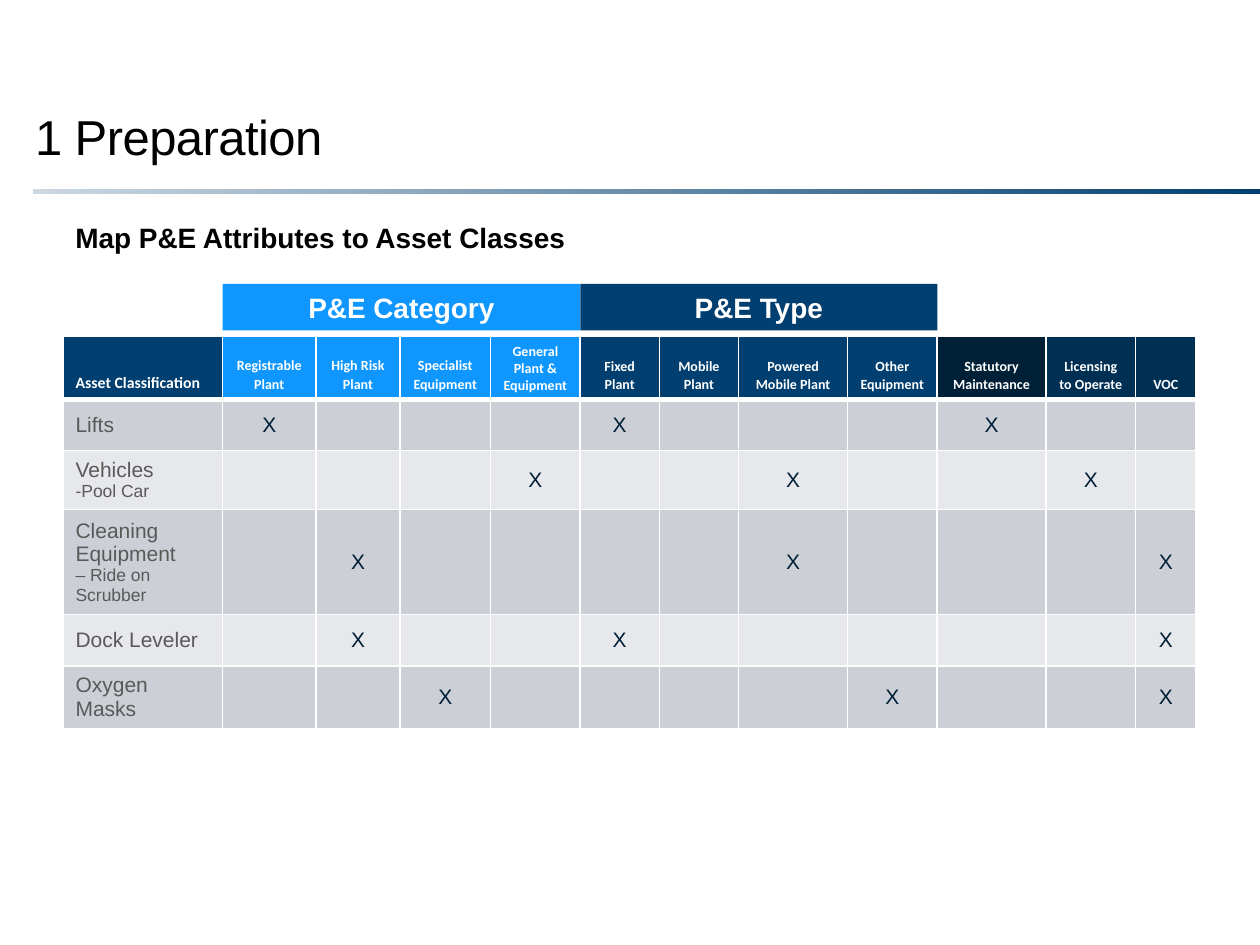
from lxml import etree
from pptx import Presentation
from pptx import util as u
from pptx.dml import color as dml
from pptx.enum import shapes, text
from pptx.oxml import ns

COLORS = {
    "navy": "003F70", "deep": "002F54", "ink": "002038", "sky": "1097FF",
    "band": "CCCFD5", "light": "E7E8EB", "grey": "595959",
    "white": "FFFFFF", "black": "000000",
}
LEFT, CENTER = text.PP_ALIGN.LEFT, text.PP_ALIGN.CENTER
TOP, MIDDLE, BOTTOM = (text.MSO_ANCHOR.TOP, text.MSO_ANCHOR.MIDDLE,
                       text.MSO_ANCHOR.BOTTOM)

COL_WIDTHS = [91.2, 53.4, 48, 51.8, 51.2, 45.2, 45.4, 62.2, 51.2, 62.3, 51.2, 34.6]
ROW_HEIGHT = 29.3
TABLE_LEFT, TABLE_TOP = 36, 192.2

HEADERS = [
    ("Asset Classification", "navy"), ("Registrable Plant", "sky"),
    ("High Risk Plant", "sky"), ("Specialist Equipment", "sky"),
    ("General Plant & Equipment", "sky"), ("Fixed Plant", "navy"),
    ("Mobile\nPlant", "navy"), ("Powered Mobile Plant", "navy"),
    ("Other Equipment", "navy"), ("Statutory Maintenance", "ink"),
    ("Licensing to Operate", "deep"), ("VOC", "deep"),
]
ASSETS = [
    ([[("Lifts", 12)]], (1, 5, 9)),
    ([[("Vehicles", 12)], [("-Pool Car", 10)]], (4, 7, 10)),
    ([[("Cleaning Equipment ", 12), ("– Ride on Scrubber", 10)]], (2, 7, 11)),
    ([[("Dock Leveler", 12)]], (2, 5, 11)),
    ([[("Oxygen Masks", 12)]], (3, 8, 11)),
]


def rgb(name):
    return dml.RGBColor.from_string(COLORS[name])


class Deck:
    def __init__(self, width, height, font="Arial"):
        self.prs = Presentation()
        self.prs.slide_width, self.prs.slide_height = u.Pt(width), u.Pt(height)
        self.font = font
        self.slide = None

    def add_slide(self):
        self.slide = self.prs.slides.add_slide(self.prs.slide_layouts[6])

    def put_text(self, tf, paras, color, align=LEFT, font=None, bold=False,
                 spacing=None, after=None, tracking=None):
        tf.word_wrap = True
        para_format = {"alignment": align, "line_spacing": spacing,
                       "space_after": after}
        for i, runs in enumerate(paras):
            p = tf.paragraphs[0] if i == 0 else tf.add_paragraph()
            for key, value in para_format.items():
                if value is not None:
                    setattr(p, key, value)
            for j, (words, size) in enumerate(runs):
                if j:
                    p.add_line_break()
                r = p.add_run()
                r.text = words
                run_format = {"name": font or self.font, "size": u.Pt(size),
                              "bold": bold}
                for key, value in run_format.items():
                    setattr(r.font, key, value)
                r.font.color.rgb = rgb(color)
                if tracking:
                    r.font._element.set("spc", str(int(tracking * 100)))

    def textbox(self, box, words, size, anchor=TOP, inset=None, **style):
        tf = self.slide.shapes.add_textbox(*map(u.Pt, box)).text_frame
        tf.vertical_anchor = anchor
        if inset is not None:
            for side in ("left", "top", "right", "bottom"):
                setattr(tf, f"margin_{side}", u.Pt(inset))
        self.put_text(tf, [[(words, size)]], "black", **style)

    def rect(self, box):
        sp = self.slide.shapes.add_shape(shapes.MSO_SHAPE.RECTANGLE, *map(u.Pt, box))
        sp.shadow.inherit = False
        sp.line.fill.background()
        return sp

    def fading_rule(self, box, color, alpha):
        sp = self.rect(box)
        sp.fill.gradient()
        sp.fill.gradient_angle = 0
        for stop, position in zip(sp.fill.gradient_stops, (0, 1)):
            stop.color.rgb = rgb(color)
            stop.position = position
        first = next(sp._element.iter(ns.qn("a:srgbClr")))
        etree.SubElement(first, ns.qn("a:alpha"), val=str(alpha * 1000))

    def banner(self, box, words, color):
        sp = self.rect(box)
        sp.fill.solid()
        sp.fill.fore_color.rgb = rgb(color)
        sp.text_frame.vertical_anchor = MIDDLE
        self.put_text(sp.text_frame, [[(words, 16)]], "white", CENTER, bold=True)

    def table(self, left, top, widths, row_height, rows):
        table = self.slide.shapes.add_table(
            rows, len(widths), u.Pt(left), u.Pt(top), u.Pt(sum(widths)),
            u.Pt(row_height * rows)).table
        table.horz_banding = False
        for column, width in zip(table.columns, widths):
            column.width = u.Pt(width)
        for row in table.rows:
            row.height = u.Pt(row_height)
        return table

    def cell(self, cell, fill, anchor, top=1, bottom=1):
        cell.fill.solid()
        cell.fill.fore_color.rgb = rgb(fill)
        cell.vertical_anchor = anchor
        tc_pr = cell._tc.get_or_add_tcPr()
        edges = {"lnL": 1, "lnR": 1, "lnT": top, "lnB": bottom}
        for i, (edge, width) in enumerate(edges.items()):
            ln = etree.Element(ns.qn(f"a:{edge}"), w=str(int(u.Pt(width))))
            solid = etree.SubElement(ln, ns.qn("a:solidFill"))
            etree.SubElement(solid, ns.qn("a:srgbClr"), val=COLORS["white"])
            tc_pr.insert(i, ln)


def fill_table(deck, table):
    for col, (label, fill) in enumerate(HEADERS):
        cell = table.cell(0, col)
        deck.cell(cell, fill, BOTTOM, bottom=3)
        size = 8 if col else 9
        deck.put_text(cell.text_frame, [[(line, size)] for line in label.split("\n")],
                      "white", CENTER if col else LEFT, "Calibri", True,
                      spacing=1.07 if col < 4 else None)
    for row, (name, marks) in enumerate(ASSETS, 1):
        for col in range(len(HEADERS)):
            cell = table.cell(row, col)
            deck.cell(cell, "band" if row % 2 else "light", MIDDLE,
                      top=3 if row == 1 else 1)
            if col == 0:
                deck.put_text(cell.text_frame, name, "grey")
            elif col in marks:
                deck.put_text(cell.text_frame, [[("X", 12)]], "ink", CENTER)


def main():
    deck = Deck(720, 540)
    deck.add_slide()
    deck.fading_rule((19.4, 108.6, 700.6, 2.2), "navy", 20)
    deck.textbox((20, 18, 677.5, 76.3), "1 Preparation", 28, BOTTOM, 0,
                 spacing=0.8, tracking=-0.3)
    deck.textbox((36, 122.4, 648, 36.7), "Map P&E Attributes to Asset Classes", 16,
                 bold=True, after=u.Pt(8))
    table = deck.table(TABLE_LEFT, TABLE_TOP, COL_WIDTHS, ROW_HEIGHT, len(ASSETS) + 1)
    fill_table(deck, table)
    for words, color, first in (("P&E Category", "sky", 1), ("P&E Type", "navy", 5)):
        left = TABLE_LEFT + sum(COL_WIDTHS[:first])
        width = sum(COL_WIDTHS[first:first + 4])
        deck.banner((left, 162.2, width, 26.7), words, color)
    deck.prs.save("out.pptx")


if __name__ == "__main__":
    main()
